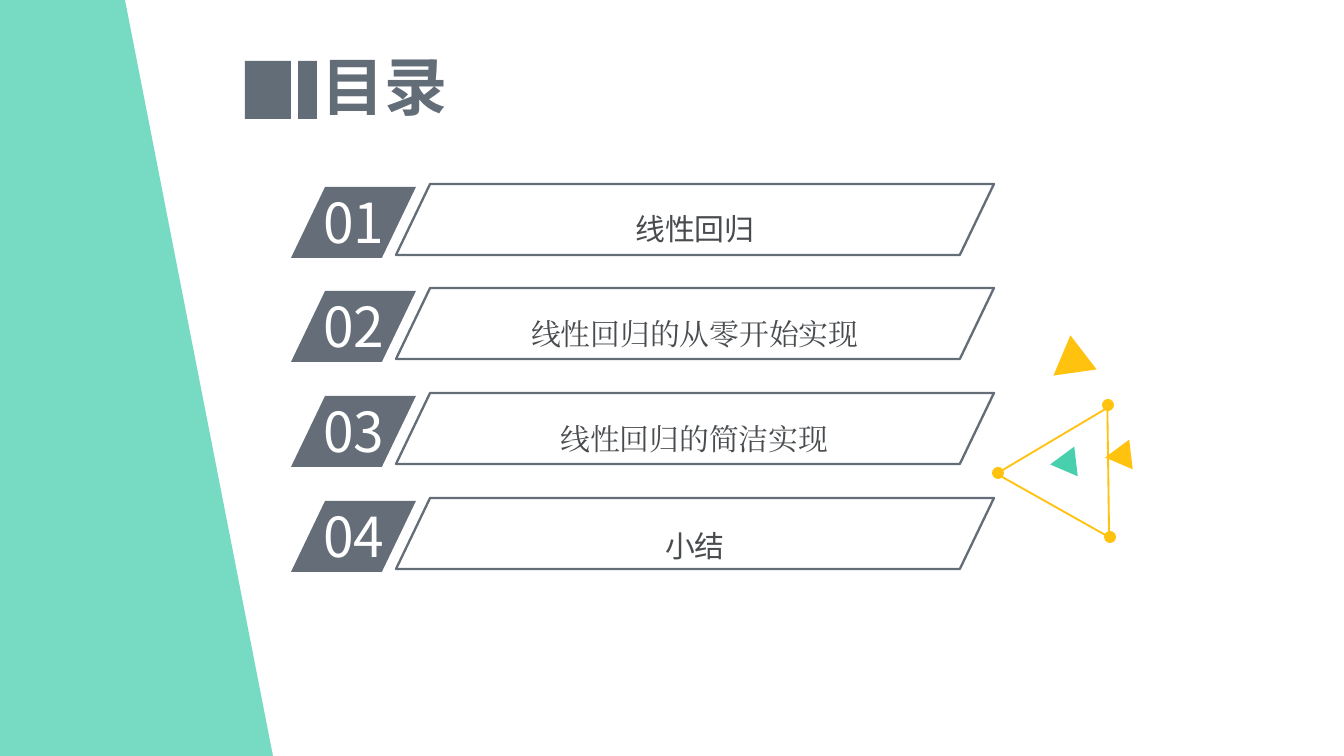
"""Build the contents slide with four numbered entries."""
from lxml.etree import SubElement
from pptx import Presentation
from pptx.dml.color import RGBColor
from pptx.enum.shapes import MSO_SHAPE
from pptx.enum.text import MSO_ANCHOR, MSO_AUTO_SIZE, PP_ALIGN
from pptx.oxml.ns import qn
from pptx.util import Pt

PX = 914400 / 134.4
SANS = "Noto Sans CJK SC"
SERIF = "Times New Roman"
TITLE, SLATE, GOLD, MINT = "636D78", "646D78", "FFC20F", "48CFAE"

deck = Presentation()
deck.slide_width, deck.slide_height = round(1344 * PX), round(756 * PX)
slide = deck.slides.add_slide(deck.slide_layouts[6])
shapes = slide.shapes
color = RGBColor.from_string


def draw(kind, box, fill=None, line=None, width=1, turn=0):
    shape = shapes.add_shape(kind, *[round(v * PX) for v in box])
    shape.shadow.inherit = False
    shape.rotation = turn
    if fill:
        shape.fill.solid()
        shape.fill.fore_color.rgb = color(fill)
    else:
        shape.fill.background()
    if line:
        shape.line.color.rgb = color(line)
        shape.line.width = Pt(width)
    else:
        shape.line.fill.background()
    return shape


def write(box, text, size, hue, font=SANS, align=PP_ALIGN.CENTER, bold=False):
    frame = shapes.add_textbox(*[round(v * PX) for v in box]).text_frame
    frame.word_wrap = True
    para = frame.paragraphs[0]
    para.alignment = align
    run = para.add_run()
    run.text = text
    run.font.size = Pt(size)
    run.font.name = font
    run.font.bold = bold
    run.font.color.rgb = color(hue)
    SubElement(run.font._element, qn("a:ea"), typeface=font)
    return frame


for box, turn, fill, line in [
    ((1047, 345, 43, 38), 232.4, GOLD, None),
    ((1055, 453, 30, 26), 143.3, MINT, None),
    ((1110, 446, 30, 26), 143.3, GOLD, None),
    ((1016, 433, 129, 112), 149.3, None, GOLD),
]:
    draw(MSO_SHAPE.ISOSCELES_TRIANGLE, box, fill, line, turn=turn)

for left, top in [(1102, 399), (1104, 531), (992, 467)]:
    draw(MSO_SHAPE.OVAL, (left, top, 12, 12), GOLD, turn=86)

head = write((210, 47, 349, 77), "目录", 33.8, TITLE, bold=True)
head.vertical_anchor = MSO_ANCHOR.MIDDLE
for left, width in [(298, 19), (245, 46)]:
    draw(MSO_SHAPE.RECTANGLE, (left, 61, width, 58), TITLE)

items = [
    ("线性回归", SANS, 476, 438, 0),
    ("线性回归的从零开始实现", SERIF, 476, 438, 1),
    ("线性回归的简洁实现", SERIF, 410, 569, 1),
    ("小结", SANS, 476, 438, 3),
]
for i, (text, font, left, width, drop) in enumerate(items):
    top = 187 + 314 * i // 3
    tab = draw(MSO_SHAPE.PARALLELOGRAM, (291, top, 125, 71), SLATE)
    num = write((310, top - 5, 118, 80), f"{i + 1:02}", 29.5, "FFFFFF", align=PP_ALIGN.LEFT)
    label = write((left, top + drop, width, 58), text, 16, "494C4F", font)
    label.margin_left = label.margin_right = Pt(5.76)
    label.margin_top = label.margin_bottom = Pt(2.88)
    label.paragraphs[0].line_spacing = 1.5
    num.auto_size = label.auto_size = MSO_AUTO_SIZE.SHAPE_TO_FIT_TEXT
    frame = draw(MSO_SHAPE.PARALLELOGRAM, (396, top - 3, 598, 71), line=SLATE, width=1.25)
    tab.adjustments[0] = frame.adjustments[0] = 0.48

path = shapes.build_freeform(0, 0, scale=PX)
path.add_line_segments([(125, 0), (273, 756), (0, 756)], close=True)
band = path.convert_to_shape()
band.shadow.inherit = False
band.fill.solid()
band.fill.fore_color.rgb = color("49CFAE")
band.line.fill.background()
tint = band._element.spPr.find(qn("a:solidFill"))[0]
SubElement(tint, qn("a:alpha"), val="75000")

deck.save("out.pptx")
